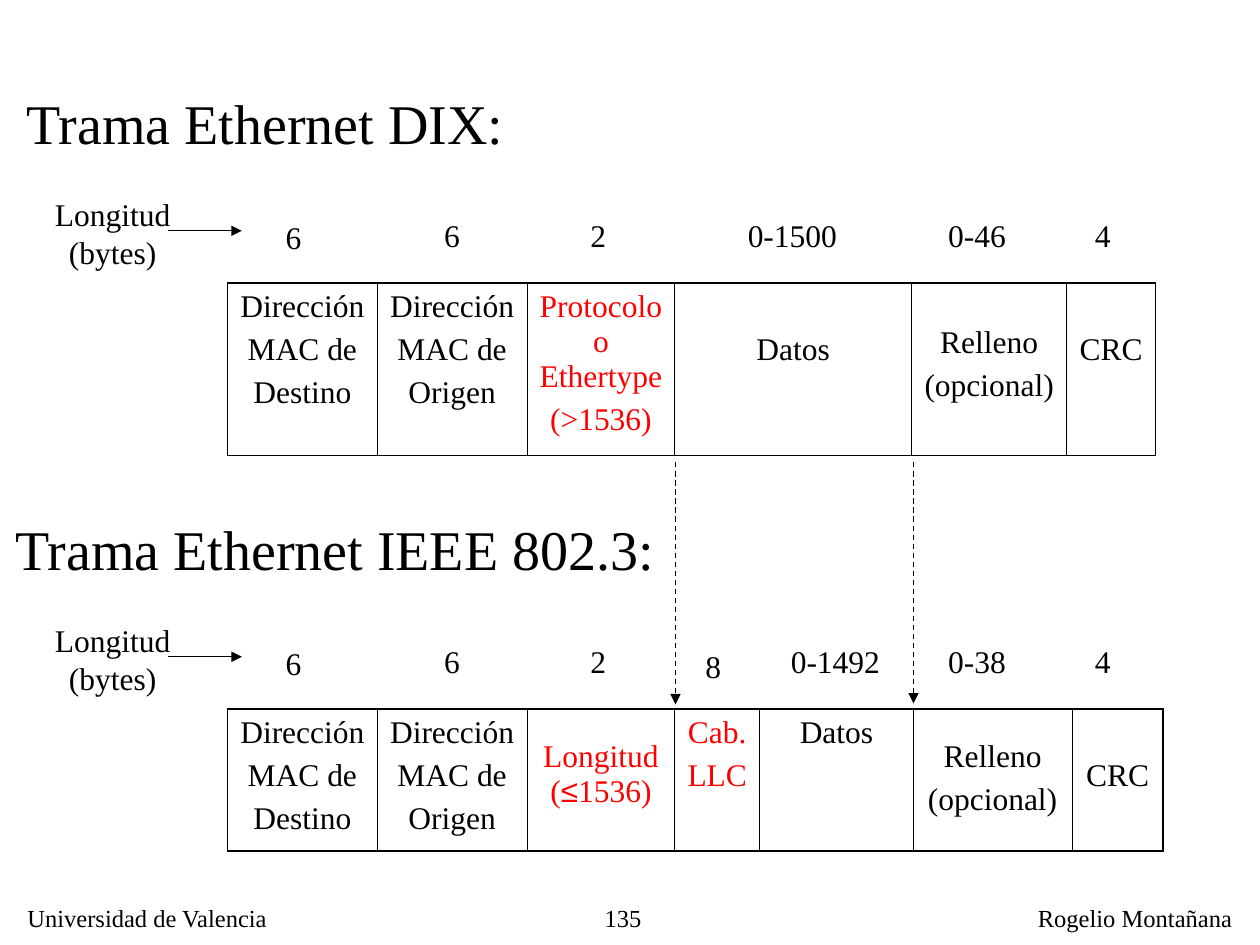
from lxml import etree
from pptx import Presentation
from pptx.dml.color import RGBColor
from pptx.enum.dml import MSO_LINE
from pptx.enum.shapes import MSO_CONNECTOR
from pptx.enum.text import MSO_AUTO_SIZE, PP_ALIGN
from pptx.oxml import parse_xml
from pptx.oxml.ns import nsdecls, qn
from pptx.util import Pt

BLACK = RGBColor(0x00, 0x00, 0x00)
RED = RGBColor(0xFF, 0x00, 0x00)
LEFT, CENTER, RIGHT = PP_ALIGN.LEFT, PP_ALIGN.CENTER, PP_ALIGN.RIGHT
SECTION_GAP = 243.4
TABLE_LEFT, TABLE_TOP = 130, 161.8
TOP, MIDDLE_14, MIDDLE_18, MIDDLE_8 = 3.6, 24, 28.2, 17.3

destination = (["Dirección", "MAC de", "Destino"], 85.6, TOP, BLACK)
origin = (["Dirección", "MAC de", "Origen"], 85.6, TOP, BLACK)
padding = ["Relleno", "(opcional)"]

sections = [
    {
        "title": ("Trama Ethernet DIX:", 7.5, 288),
        "lengths": [("6", 156.2, 121, 23), ("6", 246.7, 120.2, 23),
                    ("2", 330.2, 120.2, 23), ("0-1500", 420.2, 120.2, 65.5),
                    ("0-46", 534.7, 120.2, 47.5), ("4", 618.5, 120.2, 23)],
        "fields": [destination, origin,
                   (["Protocolo o Ethertype", "(>1536)"], 84.5, TOP, RED),
                   (["Datos"], 135.3, MIDDLE_18, BLACK),
                   (padding, 88.7, MIDDLE_14, BLACK),
                   (["CRC"], 50.6, MIDDLE_18, BLACK)],
        "height": 98.4,
    },
    {
        "title": ("Trama Ethernet IEEE 802.3:", 1, 381),
        "lengths": [("6", 156.2, 121, 23), ("6", 246.7, 120.2, 23),
                    ("2", 330.2, 120.2, 23), ("8", 396, 122.7, 23),
                    ("0-1492", 444.8, 120.2, 65.5),
                    ("0-38", 534.7, 120.2, 47.5), ("4", 618.5, 120.2, 23)],
        "fields": [destination, origin,
                   (["Longitud (≤1536)"], 84.5, MIDDLE_8, RED),
                   (["Cab.", "LLC"], 48.5, TOP, RED),
                   (["Datos"], 87.8, TOP, BLACK),
                   (padding, 90.7, MIDDLE_8, BLACK),
                   (["CRC"], 52.2, MIDDLE_18, BLACK)],
        "height": 81.2,
    },
]

presentation = Presentation()
presentation.slide_width, presentation.slide_height = Pt(720), Pt(540)
slide = presentation.slides.add_slide(presentation.slide_layouts[6])


def write(frame, lines, size, color=BLACK, alignment=CENTER, gap=0):
    for index, line in enumerate(lines):
        paragraph = frame.paragraphs[0] if index == 0 else frame.add_paragraph()
        paragraph.alignment = alignment
        if index and gap:
            paragraph.space_before = Pt(gap)
        for piece in filter(None, line.partition("≤")):
            run = paragraph.add_run()
            run.text = piece
            run.font.color.rgb = color
            values = {"size": Pt(size),
                      "name": "Arial" if piece == "≤" else "Times New Roman"}
            for name, value in values.items():
                setattr(run.font, name, value)


def add_label(lines, left, top, width, height, size, alignment=LEFT):
    frame = slide.shapes.add_textbox(Pt(left), Pt(top), Pt(width), Pt(height)).text_frame
    values = {"word_wrap": False, "auto_size": MSO_AUTO_SIZE.SHAPE_TO_FIT_TEXT}
    for name, value in values.items():
        setattr(frame, name, value)
    write(frame, lines, size, alignment=alignment)


add_label(["135"], 297.4, 512.6, 76.3, 22.3, 14, RIGHT)
add_label(["Universidad de Valencia"], 8.6, 512.6, 153.4, 24.5, 14)
add_label(["Rogelio Montañana"], 586, 512.6, 125.3, 24.5, 14)

arrows = [(386, 264.2, 386, 402.5, True), (522, 264.2, 522, 402, True)]

for number, section in enumerate(sections):
    offset = number * SECTION_GAP
    title, title_left, title_width = section["title"]
    add_label([title], title_left, 46.8 + offset, title_width, 46, 32, CENTER)
    add_label(["Longitud", "(bytes)"], 22.4, 108 + offset, 84, 50.4, 18, CENTER)
    arrows.append((96, 131.9 + offset, 138.2, 131.9 + offset, False))
    for text, left, top, width in section["lengths"]:
        add_label([text], left, top + offset, width, 28.8, 18)

    fields = section["fields"]
    total_width = sum(field[1] for field in fields)
    table = slide.shapes.add_table(
        1, len(fields), Pt(TABLE_LEFT), Pt(TABLE_TOP + offset),
        Pt(total_width), Pt(section["height"])).table
    table.first_row = table.horz_banding = False
    table.rows[0].height = Pt(section["height"])
    last = len(fields) - 1
    for column, (lines, width, margin, color) in enumerate(fields):
        table.columns[column].width = Pt(width)
        cell = table.cell(0, column)
        cell.margin_top = Pt(margin)
        cell.fill.background()
        write(cell.text_frame, lines, 18, color, gap=4.5)
        borders = {"lnL": 1.08 if column == 0 else 0.45,
                   "lnR": 1.08 if column == last else 0.45,
                   "lnT": 1.08, "lnB": 1.08}
        for position, (edge, weight) in enumerate(borders.items()):
            cell._tc.get_or_add_tcPr().insert(position, parse_xml(
                f'<a:{edge} {nsdecls("a")} w="{Pt(weight)}"><a:solidFill>'
                f'<a:srgbClr val="{BLACK}"/></a:solidFill></a:{edge}>'))

for start_x, start_y, end_x, end_y, dashed in arrows:
    arrow = slide.shapes.add_connector(
        MSO_CONNECTOR.STRAIGHT, Pt(start_x), Pt(start_y), Pt(end_x), Pt(end_y))
    arrow.line.color.rgb = BLACK
    arrow.line.width = Pt(0.75)
    if dashed:
        arrow.line.dash_style = MSO_LINE.DASH
    etree.SubElement(arrow.line._get_or_add_ln(), qn("a:tailEnd"), type="triangle")
    etree.SubElement(arrow._element.spPr, qn("a:effectLst"))

presentation.save("out.pptx")
